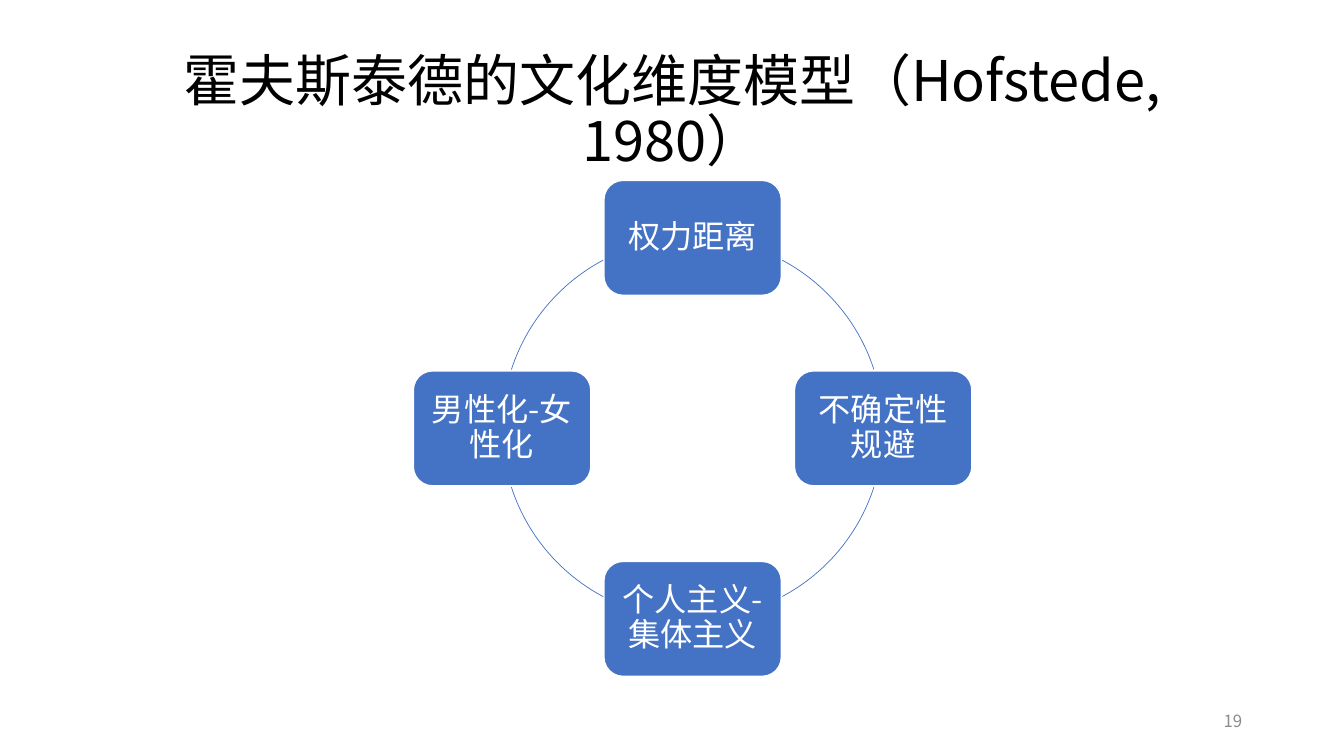
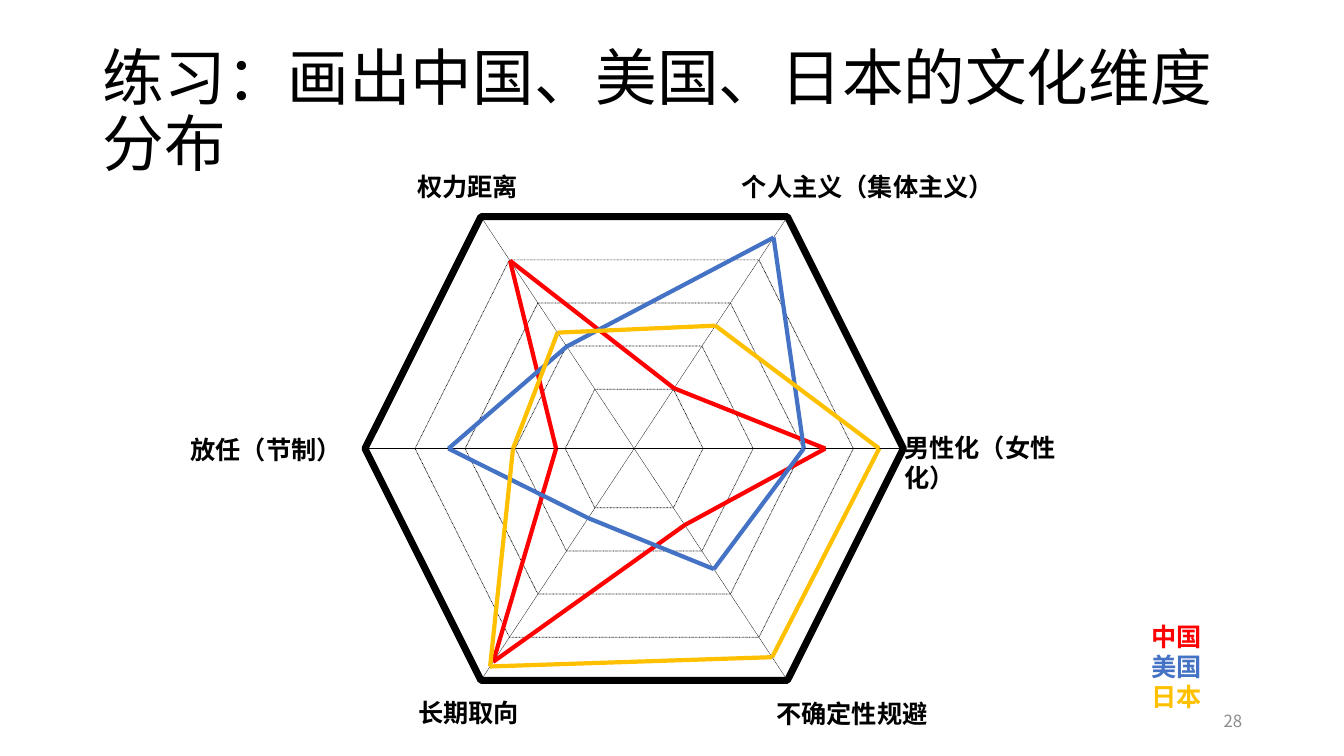
from math import cos, pi, sin

from lxml import etree
from pptx import Presentation
from pptx.dml.color import RGBColor
from pptx.enum.dml import MSO_LINE
from pptx.enum.shapes import MSO_CONNECTOR, MSO_SHAPE
from pptx.enum.text import MSO_ANCHOR, MSO_AUTO_SIZE, PP_ALIGN
from pptx.oxml.ns import qn
from pptx.util import Inches, Pt

FONT = "Noto Sans CJK SC"
BLACK = RGBColor(0x00, 0x00, 0x00)
WHITE = RGBColor(0xFF, 0xFF, 0xFF)
GREY = RGBColor(0x8C, 0x8C, 0x8C)
BLUE = RGBColor(0x44, 0x72, 0xC4)
RED = RGBColor(0xFF, 0x00, 0x00)
GOLD = RGBColor(0xFF, 0xC0, 0x00)

LEFT, CENTER, RIGHT = PP_ALIGN.LEFT, PP_ALIGN.CENTER, PP_ALIGN.RIGHT
TOP, MIDDLE = MSO_ANCHOR.TOP, MSO_ANCHOR.MIDDLE
DOT = MSO_LINE.ROUND_DOT
TITLE_BOX = (0.92, 0.4, 11.5, 1.45)
PAGE_BOX = (9.42, 6.95, 3, 0.4)

# Cycle: four boxes, clockwise from the top
CYCLE_TITLE = "霍夫斯泰德的文化维度模型（Hofstede, 1980）"
CYCLE = ["权力距离", "不确定性规避", "个人主义-集体主义", "男性化-女性化"]
HUB, RADIUS = (6.87, 4.25), 1.89
BOX = (1.76, 1.14)
# Arcs in degrees clockwise from the right, one after each box
ARCS = [(298, 342), (18, 62), (118, 162), (198, 242)]

# Radar: axes clockwise from the top left, each with its label box
RADAR_TITLE = "练习：画出中国、美国、日本的文化维度分布"
AXES = [
    ("权力距离", 4.04, 1.65, 1.46),
    ("个人主义（集体主义）", 7.26, 1.65, 3.46),
    ("男性化（女性化）", 8.87, 4.24, 2.11),
    ("不确定性规避", 7.6, 6.88, 2.15),
    ("长期取向", 4.05, 6.87, 2.15),
    ("放任（节制）", 1.79, 4.26, 2.15),
]
SCORES = [
    ("中国", RED, (81, 26, 71, 33, 92, 29)),
    ("美国", BLUE, (44, 91, 63, 52, 30, 69)),
    ("日本", GOLD, (50, 53, 91, 90, 94, 45)),
]
LEGEND_BOX = (11.32, 6.11, 2.2, 1.01)
CORE = (6.29, 4.45)
HEX = (5.34, 4.6)
RINGS, RING_STEP = 5, 0.186


def inches(*sizes):
    return [Inches(size) for size in sizes]


def around(mid, size):
    """Box of the given size, centred on a point."""
    return [m - s / 2 for m, s in zip(mid, size)] + list(size)


def write(frame, lines, size, bold=False, align=LEFT, anchor=TOP, space=1):
    """Fill a text frame with (text, colour) lines."""
    form = {"word_wrap": True, "auto_size": MSO_AUTO_SIZE.NONE,
            "vertical_anchor": anchor}
    for key, val in form.items():
        setattr(frame, key, val)
    for i, (text, color) in enumerate(lines):
        para = frame.add_paragraph() if i else frame.paragraphs[0]
        para.alignment, para.line_spacing = align, space
        run = para.add_run()
        run.text = text
        for key, val in {"name": FONT, "size": Pt(size), "bold": bold}.items():
            setattr(run.font, key, val)
        run.font.color.rgb = color
        face = etree.SubElement(run._r.get_or_add_rPr(), qn("a:ea"))
        face.set("typeface", FONT)


def label(slide, box, lines, size, **form):
    write(slide.shapes.add_textbox(*inches(*box)).text_frame,
          lines, size, **form)


def stroke(line, color, width, dash=None):
    line.color.rgb = color
    line.width = Pt(width)
    if dash:
        line.dash_style = dash


def style(shape, color, width, fill=None, dash=None):
    shape.shadow.inherit = False
    if fill:
        shape.fill.solid()
        shape.fill.fore_color.rgb = fill
    else:
        shape.fill.background()
    stroke(shape.line, color, width, dash)


def link(slide, start, end, *form):
    """Draw a straight line without a shadow."""
    line = slide.shapes.add_connector(MSO_CONNECTOR.STRAIGHT, *start, *end)
    stroke(line.line, *form)
    etree.SubElement(line._element.spPr, qn("a:effectLst"))


def new_slide(deck, title, size, align, page):
    slide = deck.slides.add_slide(deck.slide_layouts[5])
    head = slide.shapes.title
    head.left, head.top, head.width, head.height = inches(*TITLE_BOX)
    write(head.text_frame, [(title, BLACK)], size,
          align=align, anchor=MIDDLE, space=0.9)
    label(slide, PAGE_BOX, [(page, GREY)], 12, align=RIGHT, anchor=MIDDLE)
    return slide


def draw_cycle(slide):
    ring = around(HUB, (2 * RADIUS, 2 * RADIUS))
    for i, (text, angles) in enumerate(zip(CYCLE, ARCS)):
        turn = (i - 1) * pi / 2
        mid = (HUB[0] + RADIUS * cos(turn), HUB[1] + RADIUS * sin(turn))
        box = slide.shapes.add_shape(MSO_SHAPE.ROUNDED_RECTANGLE,
                                     *inches(*around(mid, BOX)))
        style(box, WHITE, 1, fill=BLUE)
        frame = box.text_frame
        for side in ("left", "right", "top", "bottom"):
            setattr(frame, "margin_" + side, Inches(0.1))
        write(frame, [(text, WHITE)], 23,
              align=CENTER, anchor=MIDDLE, space=0.9)

        arc = slide.shapes.add_shape(MSO_SHAPE.ARC, *inches(*ring))
        style(arc, BLUE, 0.5)
        for k, angle in enumerate(angles):
            # Angles are kept in 1/60000 degree, adjustments in 1/100000
            arc.adjustments[k] = angle * 0.6


def draw_radar(slide):
    half, high = HEX[0] / 2, HEX[1] / 2
    edge = half - HEX[1] / 4
    tips = [(-edge, -high), (edge, -high), (half, 0),
            (edge, high), (-edge, high), (-half, 0)]

    def spot(axis, share):
        return inches(*(c + t * share for c, t in zip(CORE, tips[axis])))

    for i in range(RINGS):
        size = [side * (1 - RING_STEP * i) for side in HEX]
        ring = slide.shapes.add_shape(MSO_SHAPE.HEXAGON,
                                      *inches(*around(CORE, size)))
        style(ring, BLACK, 0.5 if i else 5, dash=DOT if i else None)

    for i in range(3):
        link(slide, spot(i, 1), spot(i + 3, 1), BLACK, 0.25, DOT)

    for text, left, top, width in AXES:
        label(slide, (left, top, width, 0.4), [(text, BLACK)], 18, bold=True)

    for _, color, marks in SCORES:
        dots = [spot(i, mark / 100) for i, mark in enumerate(marks)]
        for start, end in zip(dots, dots[1:] + dots[:1]):
            link(slide, start, end, color, 3)

    label(slide, LEGEND_BOX, [row[:2] for row in SCORES], 18, bold=True)


def main():
    deck = Presentation()
    deck.slide_width, deck.slide_height = inches(13.33, 7.5)
    draw_cycle(new_slide(deck, CYCLE_TITLE, 40, CENTER, "19"))
    draw_radar(new_slide(deck, RADAR_TITLE, 44, LEFT, "28"))
    deck.save("out.pptx")


if __name__ == "__main__":
    main()
